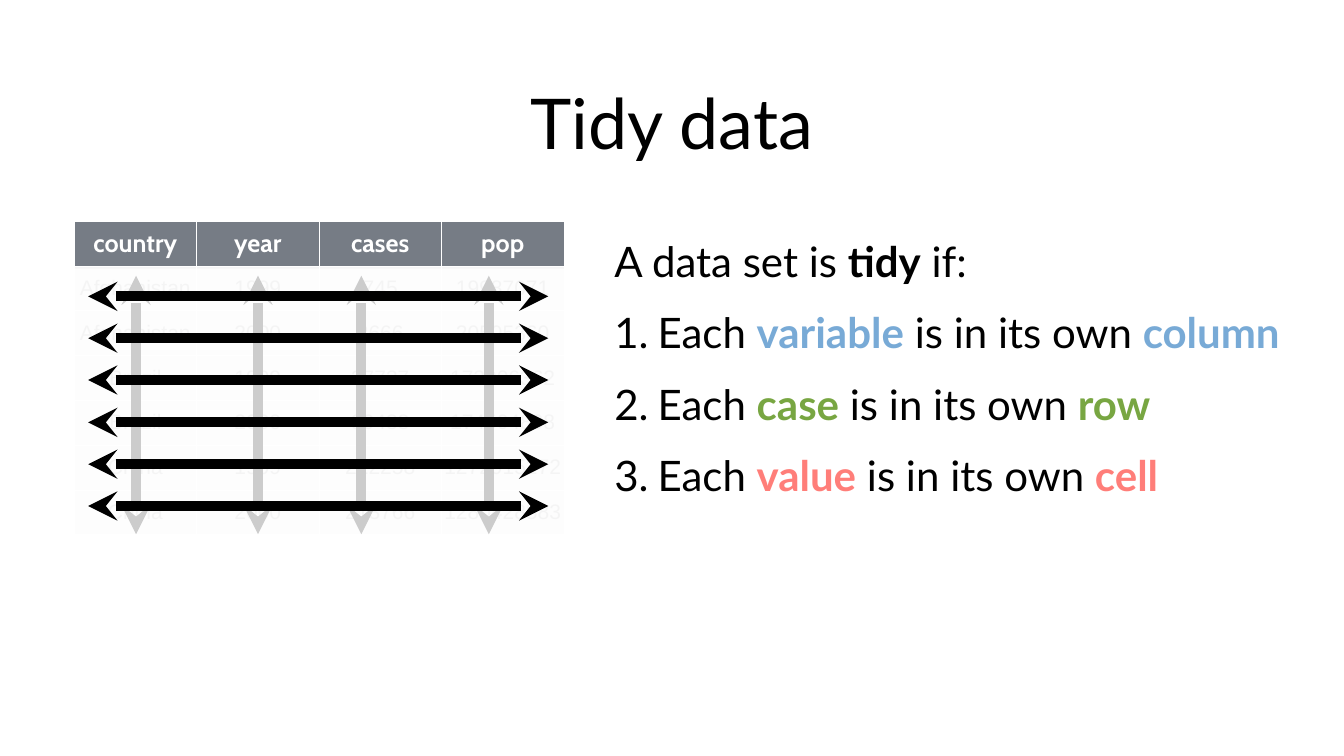
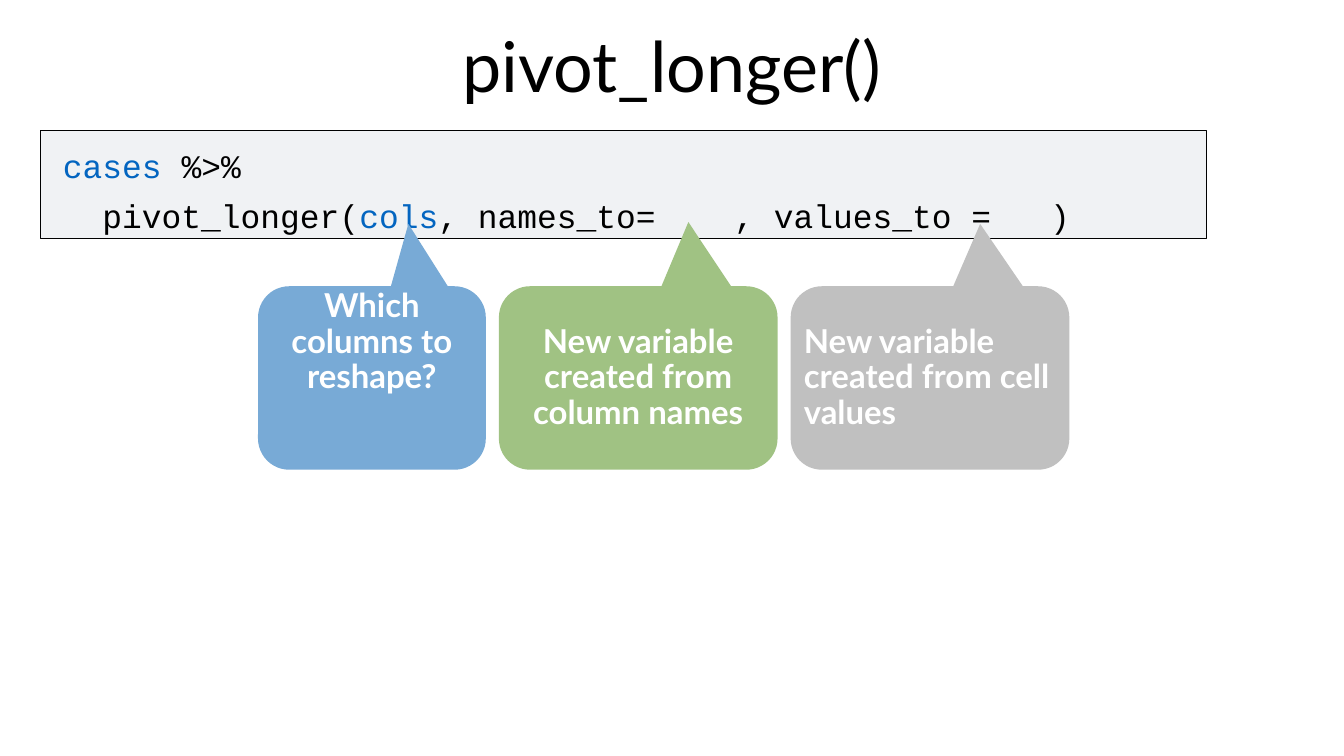
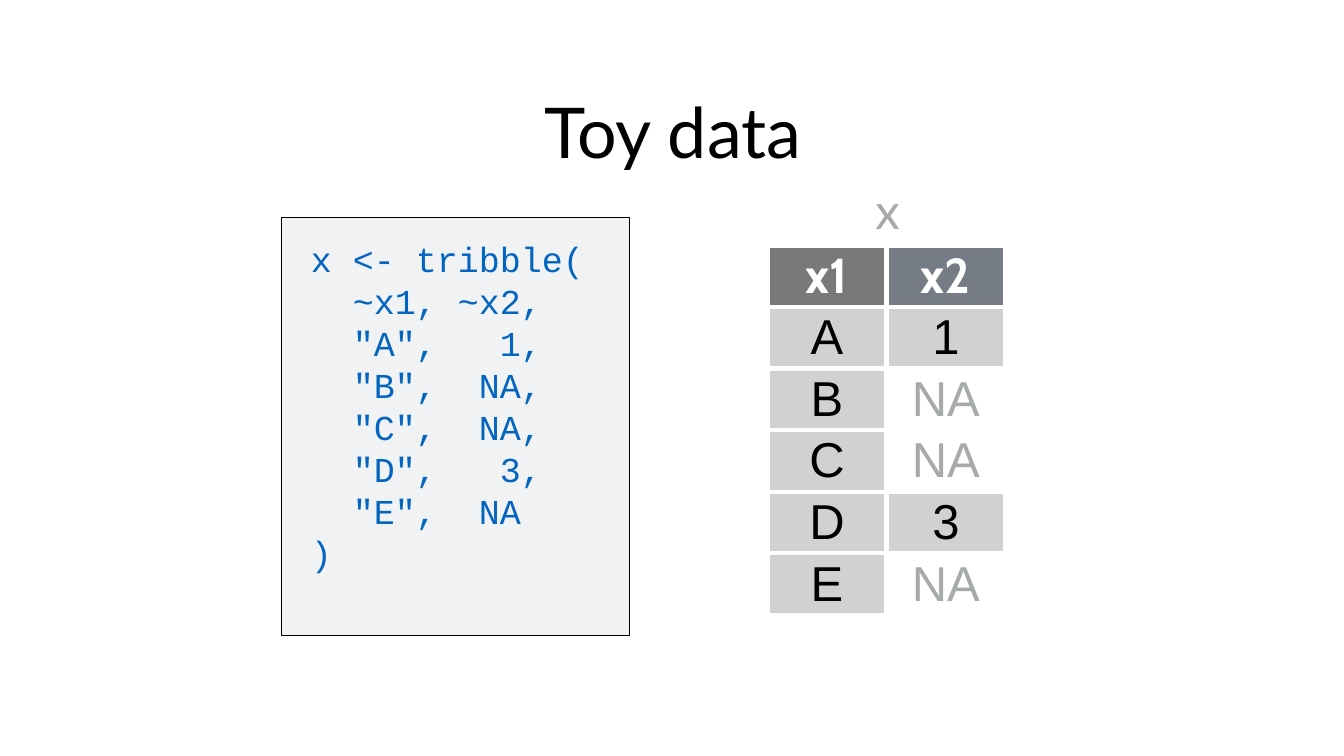
from dataclasses import dataclass

from lxml import etree
from pptx import Presentation
from pptx.dml.color import RGBColor
from pptx.enum.shapes import MSO_CONNECTOR, MSO_SHAPE
from pptx.enum.text import MSO_ANCHOR, MSO_AUTO_SIZE, PP_ALIGN
from pptx.oxml.ns import qn
from pptx.util import Emu, Pt

RECT = MSO_SHAPE.RECTANGLE
BUBBLE = MSO_SHAPE.ROUNDED_RECTANGULAR_CALLOUT
LINE = MSO_CONNECTOR.STRAIGHT
TOP, MID = MSO_ANCHOR.TOP, MSO_ANCHOR.MIDDLE
LEFT, CENTER = PP_ALIGN.LEFT, PP_ALIGN.CENTER
SCALE = 9144  # EMU in one px, 100 px to the inch


@dataclass(frozen=True)
class Theme:
    ink: str = "000000"
    paper: str = "FFFFFF"
    head: str = "767C85"
    dark: str = "797979"
    cell: str = "D0D1D2"
    faint: str = "A6AAA9"
    panel: str = "F0F2F4"
    code: str = "0365C0"
    blue: str = "78AAD6"
    green: str = "78A642"
    red: str = "FF7E79"
    moss: str = "A0C283"
    silver: str = "C0C0C0"
    body: str = "Lato"
    label: str = "Cabin"
    data: str = "Arial"
    mono: str = "Courier New"
    title: int = 100
    large: int = 70
    text: int = 60
    block: int = 50
    note: int = 47
    names: int = 36
    small: int = 30


T = Theme()


def px(n):
    return Emu(round(n * SCALE))


def rgb(color):
    return RGBColor.from_string(color)


def add(parent, tag, **attrs):
    return etree.SubElement(parent, qn(tag), attrs)


# Text

def style(font, size, face, color, bold=False):
    font.size, font.name, font.bold = Pt(size), face, bold
    font.color.rgb = rgb(color)


def write(frame, paras, size, face=T.body, color=T.ink, bold=False,
          align=LEFT, before=0, lead=None, numbered=False):
    """Each paragraph is a list of (text, color, bold); None keeps the base."""
    for i, runs in enumerate(paras):
        para = frame.paragraphs[0] if i == 0 else frame.add_paragraph()
        para.alignment = align
        if lead:
            para.line_spacing = lead
        if before and i:
            para.space_before = Pt(before)
        if numbered and i:
            props = para._p.get_or_add_pPr()
            props.set("marL", str(px(86)))
            props.set("indent", str(-px(86)))
            add(props, "a:buFont", typeface="+mj-lt")
            add(props, "a:buAutoNum", type="arabicPeriod")
        style(para.font, size, face, color, bold)
        for text, tint, strong in runs:
            run = para.add_run()
            run.text = text
            if tint:
                run.font.color.rgb = rgb(tint)
            if strong:
                run.font.bold = True


def plain(*lines):
    return [[(line, None, False)] for line in lines]


def inset(frame, size, anchor, wrap=True):
    frame.margin_left = frame.margin_right = px(size)
    frame.margin_top = frame.margin_bottom = px(size)
    frame.vertical_anchor, frame.word_wrap = anchor, wrap


def label(slide, box, paras, size, anchor=TOP, wrap=True, **look):
    shape = slide.shapes.add_textbox(*map(px, box))
    inset(shape.text_frame, 6, anchor, wrap)
    write(shape.text_frame, paras, size, **look)
    return shape.text_frame


def title(slide, box, text):
    label(slide, box, plain(text), T.title, MID, align=CENTER)


# Shapes and tables

def block(shapes, kind, box, fill, edge=None):
    shape = shapes.add_shape(kind, *map(px, box))
    shape.shadow.inherit = False
    shape.fill.solid()
    shape.fill.fore_color.rgb = rgb(fill)
    if edge:
        shape.line.color.rgb = rgb(edge)
        shape.line.width = Pt(1)
    else:
        shape.line.fill.background()
    return shape


def code(slide, panel, box, paras, size, **look):
    block(slide.shapes, RECT, panel, T.panel, T.ink)
    frame = label(slide, box, paras, size, face=T.mono,
                  lead=Pt(round(1.2 * size)), **look)
    frame.margin_top = px(12)


def border(cell, width):
    props = cell._tc.get_or_add_tcPr()
    for i, side in enumerate(("a:lnL", "a:lnR", "a:lnT", "a:lnB")):
        line = etree.Element(qn(side), w=str(Pt(width)))
        add(add(line, "a:solidFill"), "a:srgbClr", val=T.paper)
        props.insert(i, line)


def grid(slide, box, rows, margin, edge, look):
    """look gives fill, size, face, color and bold for a row, column, value."""
    x, y, w, h = box
    frame = slide.shapes.add_table(len(rows), len(rows[0]), *map(px, box))
    table = frame.table
    table.first_row = table.horz_banding = False
    for col in table.columns:
        col.width = px(w / len(rows[0]))
    for r, row in enumerate(rows):
        table.rows[r].height = px(h / len(rows))
        for c, value in enumerate(row):
            cell = table.cell(r, c)
            fill, *font = look(r, c, value)
            cell.margin_left = cell.margin_right = px(margin)
            cell.margin_top = cell.margin_bottom = px(margin)
            cell.vertical_anchor = MID
            if fill:
                cell.fill.solid()
                cell.fill.fore_color.rgb = rgb(fill)
            else:
                cell.fill.background()
            border(cell, edge)
            write(cell.text_frame, plain(value), *font, align=CENTER)


def arrow(shapes, start, end):
    line = shapes.add_connector(LINE, *map(px, start + end))
    line.line.color.rgb = rgb(T.ink)
    line.line.width = Pt(14)
    ln = line.line._get_or_add_ln()
    add(ln, "a:headEnd", type="stealth")
    add(ln, "a:tailEnd", type="stealth")
    add(line._element.spPr, "a:effectLst")


def veil(slide, box, lines):
    """A pale cover with double arrows on top of it."""
    shapes = slide.shapes.add_group_shape().shapes
    cover = block(shapes, RECT, box, T.paper)
    tint = cover._element.spPr.find(qn("a:solidFill"))[0]
    add(tint, "a:alpha", val="80000")
    for start, end in lines:
        arrow(shapes, start, end)


# Slides

def tidy(slide):
    title(slide, (438, 110, 1790, 262), "Tidy data")
    rows = [
        ("country", "year", "cases", "pop"),
        ("Afghanistan", "1999", "745", "19987071"),
        ("Afghanistan", "2000", "2666", "20595360"),
        ("Brazil", "1999", "37737", "172006362"),
        ("Brazil", "2000", "80488", "174504898"),
        ("China", "1999", "212258", "1272915272"),
        ("China", "2000", "213766", "1280428583"),
    ]

    def look(r, c, value):
        if r == 0:
            return T.head, T.names, T.label, T.paper, True
        return T.cell, T.small, T.data, T.ink, False

    grid(slide, (147, 439, 972, 622), rows, 5, 1, look)

    rules = [("variable", "column", T.blue), ("case", "row", T.green),
             ("value", "cell", T.red)]
    paras = [[("A data set is ", None, False), ("tidy", None, True),
              (" if:", None, False)]]
    for what, where, tint in rules:
        paras.append([("Each ", None, False), (what, tint, True),
                      (" is in its own ", None, False), (where, tint, True)])
    label(slide, (1213, 461, 1368, 577), paras, T.text, before=30,
          numbered=True)

    # Columns first, then rows over them
    veil(slide, (134, 533, 985, 542),
         [((x, 1060), (x, 547)) for x in (270, 717, 970, 512)])
    levels = [round(588 + 83.2 * i) for i in range(len(rows) - 1)]
    veil(slide, (146, 530, 975, 532),
         [((175, y), (1088, y)) for y in levels])


def pivot(slide):
    title(slide, (438, -4, 1790, 262), "pivot_longer()")
    paras = [
        [("cases ", T.code, False), ("%>%", None, False)],
        [("  pivot_longer(", None, False), ("cols", T.code, False),
         (", names_to=    , values_to =   )", None, False)],
    ]
    code(slide, (80, 258, 2314, 215), (119, 278, 2265, 215), paras, T.note,
         before=15)

    # Callouts: left, width, tip, fill, alignment, room below, text
    notes = [
        (512, 452, (0.16, -0.84), T.blue, CENTER, 149,
         "Which columns to reshape?"),
        (990, 553, (0.18, -0.85), T.moss, CENTER, 8,
         "New variable created from column names"),
        (1569, 553, (0.18, -0.84), T.silver, LEFT, 8,
         "New variable created from cell values"),
    ]
    for x, w, tip, fill, align, room, text in notes:
        shape = block(slide.shapes, BUBBLE, (x, 568, w, 364), fill)
        for i, value in enumerate(tip + (0.17,)):
            shape.adjustments[i] = value
        inset(shape.text_frame, 8, MID)
        shape.text_frame.margin_bottom = px(room)
        write(shape.text_frame, plain(text), T.note, color=T.paper, bold=True,
              align=align, lead=0.9)


def toy(slide):
    title(slide, (440, 146, 1790, 226), "Toy data")
    lines = plain("x <- tribble(", "  ~x1, ~x2,", '  "A",   1,',
                  '  "B",  NA,', '  "C",  NA,', '  "D",   3,',
                  '  "E",  NA', ")")
    code(slide, (559, 432, 690, 829), (611, 459, 717, 775), lines, T.block,
         color=T.code)

    rows = [("x1", "x2"), ("A", "1"), ("B", "NA"), ("C", "NA"), ("D", "3"),
            ("E", "NA")]

    def look(r, c, value):
        if r == 0:
            fill = T.head if c else T.dark
            return fill, T.large, T.label, T.paper, True
        if value == "NA":
            return None, T.large, T.data, T.faint, False
        return T.cell, T.large, T.data, T.ink, False

    grid(slide, (1523, 487, 472, 733), rows, 0, 7, look)
    name = label(slide, (1731, 350, 57, 134), plain("x"), T.large, MID,
                 wrap=False, color=T.faint, align=CENTER)
    name.auto_size = MSO_AUTO_SIZE.SHAPE_TO_FIT_TEXT


def main():
    deck = Presentation()
    deck.slide_width, deck.slide_height = px(2667), px(1500)
    for build in (tidy, pivot, toy):
        build(deck.slides.add_slide(deck.slide_layouts[6]))
    deck.save("out.pptx")


if __name__ == "__main__":
    main()
